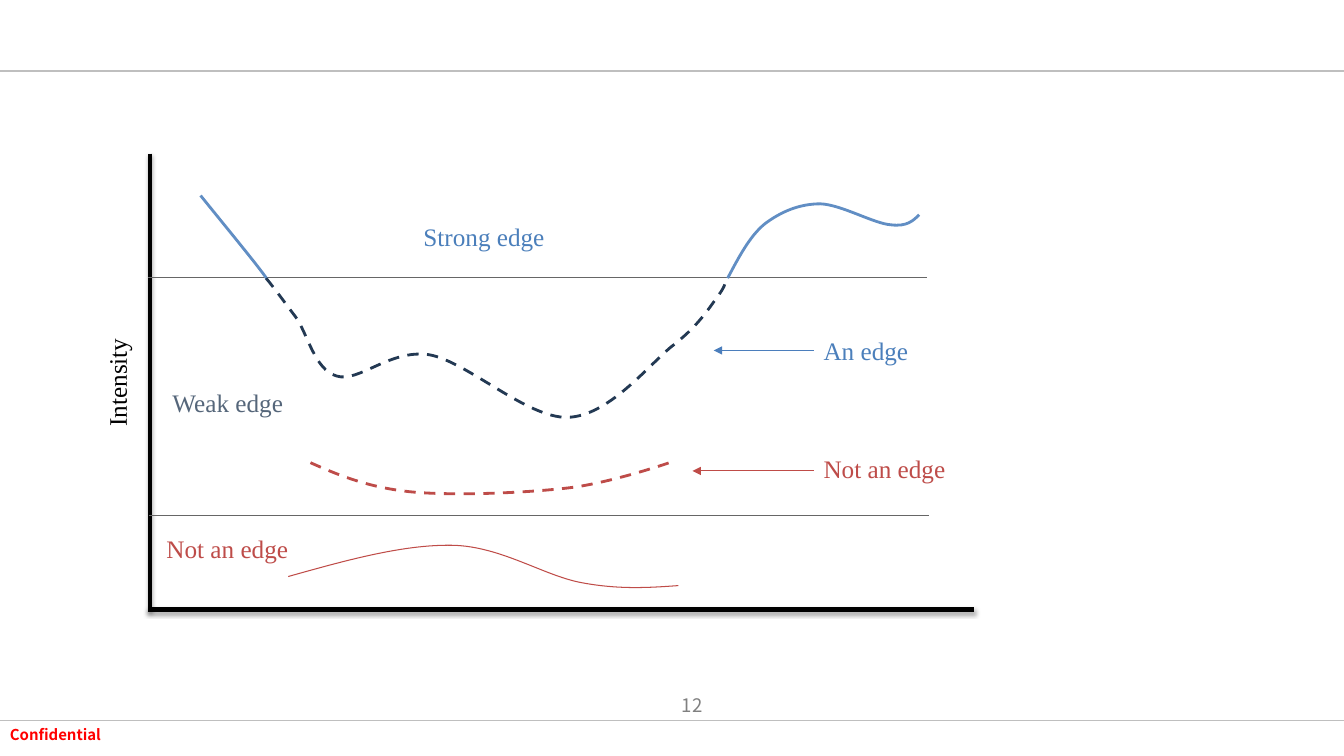
from dataclasses import dataclass
from typing import Optional

from lxml import etree
from pptx import Presentation
from pptx.dml.color import RGBColor
from pptx.enum import dml, shapes, text
from pptx.oxml import ns
from pptx.util import Pt

BLACK = RGBColor(0x00, 0x00, 0x00)
GREY = RGBColor(0x80, 0x80, 0x80)
ASH = RGBColor(0x66, 0x66, 0x66)
RULE = RGBColor(0xBF, 0xBF, 0xBF)
ALERT = RGBColor(0xFF, 0x00, 0x00)
BLUE = RGBColor(0x4B, 0x7E, 0xBC)
SKY = RGBColor(0x4B, 0x7F, 0xBB)
STRONG = RGBColor(0x61, 0x8E, 0xC4)
NAVY = RGBColor(0x23, 0x39, 0x53)
SLATE = RGBColor(0x55, 0x66, 0x7A)
BRICK = RGBColor(0xBF, 0x4C, 0x48)
RED = RGBColor(0xBE, 0x4C, 0x49)
SERIF = "Times New Roman"
SANS = "Noto Sans CJK KR"
HIGH = 29


@dataclass
class Label:
    words: str
    left: float
    top: float
    width: float
    color: RGBColor
    turn: float = 0
    font: str = SERIF
    size: float = 18
    bold: bool = False
    high: float = HIGH
    wrap: bool = False
    align: Optional[text.PP_ALIGN] = None
    anchor: text.MSO_ANCHOR = text.MSO_ANCHOR.TOP
    grow: bool = True


@dataclass
class Line:
    start: tuple[float, float]
    end: tuple[float, float]
    color: RGBColor
    width: float = 0.75
    shade: bool = False
    arrow: bool = False


@dataclass
class Curve:
    points: list[tuple[float, float]]
    color: RGBColor
    width: float = 2
    dash: bool = False


RULES = [
    Line((-7.2, 50.8), (964.1, 50.8), RULE, 1),
    Line((0, 514.8), (960, 514.8), RULE, 1),
]
CHART = [
    Line((107.3, 109.7), (107.3, 436.3), BLACK, 3, True),
    Line((695.5, 435.3), (105.8, 435.3), BLACK, 3, True),
    Line((105.8, 198.4), (662.4, 198.4), ASH),
    Line((106.6, 368.3), (663.8, 368.3), ASH),
]
CURVES = [
    Curve([(205.9, 411.8), (247, 400.3), (288, 388.8), (323.3, 389.5),
           (357.8, 390.2), (388.1, 411.1), (415.4, 416.2),
           (442.1, 421.2), (463.7, 419.8), (484.6, 418.3)], BRICK, 0.75),
    Curve([(143.3, 139.7), (164.2, 165.6), (185, 190.8), (190.8, 199.4)],
          STRONG),
    Curve([(190.1, 198.7), (196.6, 206.6), (202.3, 214.6), (211, 226.1),
           (219.6, 237.6), (224.6, 264.2), (240.5, 268.6),
           (256.3, 273.6), (278.6, 249.1), (306.7, 253.4),
           (334.1, 258.5), (376.6, 298.8), (405.4, 298.1),
           (434.2, 297.4), (462.2, 262.1), (479.5, 247.7),
           (497.5, 234), (505.4, 221.8), (511.2, 213.8),
           (517.7, 205.2), (518.4, 202.3), (518.4, 199.4)], NAVY, dash=True),
    Curve([(519.8, 198.7), (527.8, 183.6), (535.7, 168.5), (546.5, 159.8),
           (558, 151.2), (571, 145.6), (586.1, 145.6),
           (601.2, 146.2), (624.2, 159.8), (636.5, 160.6),
           (648, 162), (652.3, 157.7), (656.6, 153.4)], STRONG),
    Curve([(221.8, 330.5), (242.6, 339.8), (264.2, 348.5), (294.5, 351.4),
           (325.4, 354.2), (375.1, 352.1), (406.1, 348.5),
           (437, 344.9), (480.2, 329.8), (480.2, 329.8)], RED, dash=True),
]
FOOTER = [
    Label("Confidential", 0, 514.8, 164.9, ALERT, font=SANS, size=10.7,
          bold=True, high=20.2, wrap=True),
    Label("12", 455, 488.9, 54, GREY, font=SANS, size=13.3, wrap=True,
          align=text.PP_ALIGN.RIGHT, anchor=text.MSO_ANCHOR.MIDDLE,
          grow=False),
]
NOTES = [
    (Label("An edge", 581.2, 235.8, 75.6, SKY),
     Line((581.2, 250.3), (509.8, 250.3), BLUE, arrow=True)),
    (Label("Not an edge", 581.2, 320.4, 102.2, RED),
     Line((581.2, 336.4), (494.6, 336.4), BRICK, arrow=True)),
]
ZONES = [
    Label("Strong edge", 295.4, 154.8, 102.2, SKY),
    Label("Weak edge", 116.1, 273.2, 94.3, SLATE),
    Label("Not an edge", 111.8, 377.3, 102.2, RED),
]
SCALE = Label("Intensity", 44.4, 258.1, 78.5, BLACK, turn=270)


def add(parent: etree._Element, tag: str, **attrs: str) -> etree._Element:
    return etree.SubElement(parent, ns.qn(tag), attrs)


def draw_line(slide, line: Line):
    ends = [Pt(v) for v in line.start + line.end]
    link = slide.shapes.add_connector(shapes.MSO_CONNECTOR.STRAIGHT, *ends)
    link.line.color.rgb = line.color
    link.line.width = Pt(line.width)
    if line.arrow:
        add(link.line._get_or_add_ln(), "a:tailEnd", type="triangle")
    fx = add(link._element.spPr, "a:effectLst")
    if line.shade:
        cast = add(fx, "a:outerShdw", blurRad=str(Pt(3.1)),
                   dist=str(Pt(1.8)), dir="5400000", rotWithShape="0")
        tint = add(cast, "a:srgbClr", val=str(BLACK))
        add(tint, "a:alpha", val="35000")
    return link


def draw_curve(slide, curve: Curve) -> None:
    spots = [(Pt(x), Pt(y)) for x, y in curve.points]
    pen = slide.shapes.build_freeform(*spots[0])
    pen.add_line_segments(spots[1:], close=False)
    shape = pen.convert_to_shape()
    legs = list(shape._element.iter(ns.qn("a:lnTo")))
    for i in range(0, len(legs), 3):
        bend = etree.Element(ns.qn("a:cubicBezTo"))
        legs[i].addprevious(bend)
        for leg in legs[i:i + 3]:
            bend.append(leg[0])
            leg.getparent().remove(leg)
    shape.shadow.inherit = False
    shape.fill.background()
    shape.line.color.rgb = curve.color
    shape.line.width = Pt(curve.width)
    if curve.dash:
        shape.line.dash_style = dml.MSO_LINE.DASH


def draw_label(slide, label: Label):
    box = slide.shapes.add_textbox(Pt(label.left), Pt(label.top),
                                   Pt(label.width), Pt(label.high))
    box.rotation = label.turn
    frame = box.text_frame
    frame.word_wrap = label.wrap
    frame.vertical_anchor = label.anchor
    fit = text.MSO_AUTO_SIZE
    frame.auto_size = fit.SHAPE_TO_FIT_TEXT if label.grow else fit.NONE
    para = frame.paragraphs[0]
    para.alignment = label.align
    run = para.add_run()
    run.text = label.words
    run.font.name = label.font
    run.font.size = Pt(label.size)
    run.font.bold = label.bold
    run.font.color.rgb = label.color
    return box


def draw_note(slide, label: Label, line: Line) -> None:
    box = draw_label(slide, label)
    link = draw_line(slide, line)
    if abs(label.top + label.high / 2 - line.start[1]) < 1:
        link.begin_connect(box, 1)


def main() -> None:
    deck = Presentation()
    deck.slide_width, deck.slide_height = Pt(960), Pt(540)
    slide = deck.slides.add_slide(deck.slide_layouts[6])
    for line in RULES:
        draw_line(slide, line)
    for label in FOOTER:
        draw_label(slide, label)
    for line in CHART:
        draw_line(slide, line)
    for curve in CURVES:
        draw_curve(slide, curve)
    draw_label(slide, SCALE)
    for label, line in NOTES:
        draw_note(slide, label, line)
    for label in ZONES:
        draw_label(slide, label)
    deck.save("out.pptx")


if __name__ == "__main__":
    main()
